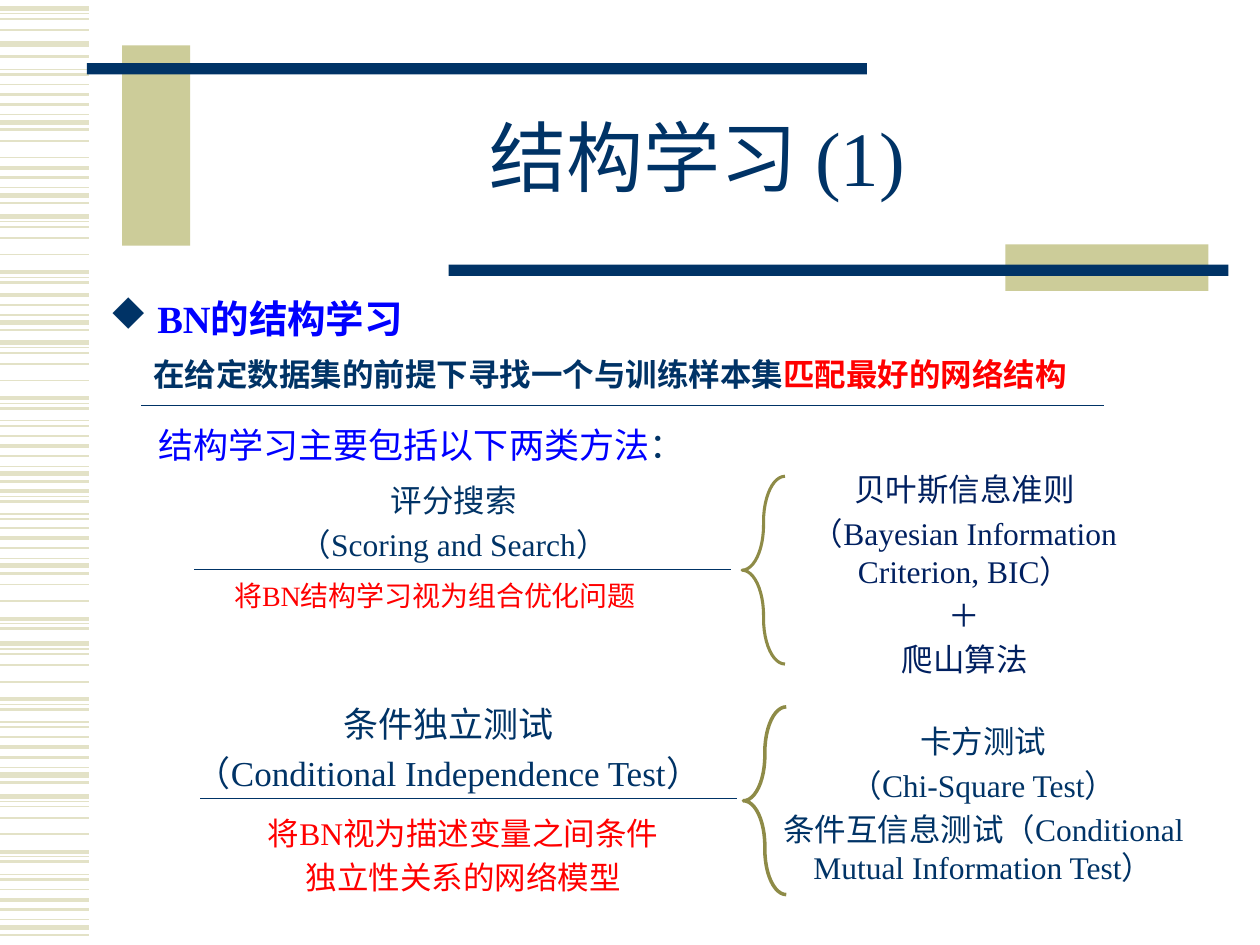
from lxml.etree import SubElement
from pptx import Presentation
from pptx.dml.color import RGBColor
from pptx.enum.shapes import MSO_CONNECTOR as Connector, MSO_SHAPE as Preset
from pptx.enum.text import MSO_ANCHOR as Anchor, PP_ALIGN as Align
from pptx.oxml.ns import qn
from pptx.util import Emu, Pt

SCALE = 9144
NAVY, DEEP, BLUE, RED = "003366", "002060", "0000FF", "FF0000"
KHAKI, PALE, OLIVE = "CCCC99", "E3E2C7", "8E8B47"

SHORT_BAND = [(0, 1), (8, 2.25), (16, 1.5), (24, 0.75), (30, 3), (36, 1.5)]
LONG_BAND = [(0, 3), (4, 0.75), (8, 1), (17, 1), (30, 1), (44, 2.25),
             (48, 0.75), (52, 1.5), (62, 0.75), (66, 1.5)]
SHORT_PARTS = [(67, 0, 6), (125, 0, 6), (226, 1, 6), (346, 0, 6),
               (419, 0, 6), (585, 0, 6), (706, 0, 6)]
LONG_PARTS = [(7, 0, 4), (35, 0, 1), (-7, 7, 10), (82, 4, 5), (172, 0, 8),
              (272, 0, 10), (346, 5, 10), (447, 3, 8), (511, 0, 10), (632, 0, 10)]

METHODS = [
    {
        "box": (130, 377, 776, 180),
        "name": ["评分搜索", "（Scoring and Search）"],
        "name_at": (0, 0, 460, 77), "name_size": 18,
        "rule_at": (24, 75),
        "note": ["将BN结构学习视为组合优化问题"],
        "note_at": (46, 77, 401, 37), "note_size": 16, "note_align": Align.LEFT,
        "brace_at": (459, 1, 34, 149), "brace_weight": 1.75,
        "detail": ["贝叶斯信息准则", "（Bayesian Information Criterion, BIC）", "＋", "爬山算法"],
        "detail_at": (495, -9, 281, 180), "detail_color": DEEP,
    },
    {
        "box": (126, 553, 836, 165),
        "name": ["条件独立测试", "（Conditional Independence Test）"],
        "name_at": (0, 0, 460, 84), "name_size": 20,
        "rule_at": (33, 81),
        "note": ["将BN视为描述变量之间条件", "独立性关系的网络模型"],
        "note_at": (36, 88, 411, 77), "note_size": 18, "note_align": Align.CENTER,
        "brace_at": (464, 8, 34, 149), "brace_weight": 2,
        "detail": ["卡方测试", "（Chi-Square Test）",
                   "条件互信息测试（Conditional Mutual Information Test）"],
        "detail_at": (473, 15, 363, 143), "detail_color": NAVY,
    },
]


def px(*lengths):
    """Turn px lengths into EMU."""
    return [Emu(length * SCALE) for length in lengths]


def color(value):
    """Turn a hex string into a colour."""
    return RGBColor.from_string(value)


def inside(box, place):
    """Shift a place by the origin of its box."""
    return (box[0] + place[0], box[1] + place[1], *place[2:])


def add_rule(slide, left, top, width, line_color, weight):
    """Draw a horizontal line."""
    rule = slide.shapes.add_connector(Connector.STRAIGHT, *px(left, top, left + width, top))
    rule.line.color.rgb = color(line_color)
    rule.line.width = Pt(weight)
    SubElement(rule._element.spPr, qn("a:effectLst"))


def add_bar(slide, place, fill):
    """Draw a filled rectangle without an outline."""
    bar = slide.shapes.add_shape(Preset.RECTANGLE, *px(*place))
    bar.shadow.inherit = False
    bar.fill.solid()
    bar.fill.fore_color.rgb = color(fill)
    bar.line.fill.background()


def add_brace(slide, place, weight):
    """Draw a curly brace that opens to the right."""
    brace = slide.shapes.add_shape(Preset.RIGHT_BRACE, *px(*place))
    brace.rotation = 180
    brace.adjustments[0] = 1.054
    brace.shadow.inherit = False
    brace.fill.background()
    brace.line.color.rgb = color(OLIVE)
    brace.line.width = Pt(weight)


def add_text(slide, place, paragraphs, size, align=Align.LEFT, bold=False,
             wrap=True, anchor=Anchor.TOP, line_spacing=None, space_before=20):
    """Write paragraphs, each a list of (text, colour) runs, in a text box."""
    frame = slide.shapes.add_textbox(*px(*place)).text_frame
    frame.word_wrap, frame.vertical_anchor = wrap, anchor
    for index, runs in enumerate(paragraphs):
        paragraph = frame.paragraphs[0] if index == 0 else frame.add_paragraph()
        for name, value in {"alignment": align, "line_spacing": line_spacing}.items():
            setattr(paragraph, name, value)
        if space_before:
            before = SubElement(paragraph._p.get_or_add_pPr(), qn("a:spcBef"))
            SubElement(before, qn("a:spcPct"), val=str(space_before * 1000))
        for text, text_color in runs:
            run = paragraph.add_run()
            run.text = text
            formats = {"name": "Times New Roman", "size": Pt(size), "bold": bold}
            for name, value in formats.items():
                setattr(run.font, name, value)
            run.font.color.rgb = color(text_color)
    return frame


def add_diamond_bullet(paragraph, bullet_color, indent):
    """Give a paragraph a Wingdings diamond bullet and a hanging indent."""
    properties = paragraph._p.get_or_add_pPr()
    properties.set("marL", str(indent * SCALE))
    properties.set("indent", str(-indent * SCALE))
    SubElement(SubElement(properties, qn("a:buClr")), qn("a:srgbClr"), val=bullet_color)
    SubElement(properties, qn("a:buFont"), typeface="Wingdings", pitchFamily="2", charset="2")
    SubElement(properties, qn("a:buChar"), char="u")


def build_stripes(slide, box):
    """Fill the left margin with repeated bands of stripes."""
    left, top, width, _ = box
    for band, parts in ((SHORT_BAND, SHORT_PARTS), (LONG_BAND, LONG_PARTS)):
        for base, first, last in parts:
            for offset, weight in band[first:last]:
                add_rule(slide, left, top + base + offset, width, PALE, weight)


def build_title(slide, box):
    """Place the title between its bars and accent blocks."""
    for place, fill in (((28, 0, 54, 159), KHAKI), ((0, 14, 619, 9), NAVY),
                        ((729, 158, 161, 37), KHAKI), ((287, 174, 619, 9), NAVY)):
        add_bar(slide, inside(box, place), fill)
    add_text(slide, inside(box, (81, 31, 807, 125)), [[("结构学习 (1)", NAVY)]], 44,
             Align.CENTER, anchor=Anchor.MIDDLE, line_spacing=0.85, space_before=0)


def build_introduction(slide, box):
    """Place the bulleted heading, the definition and the lead-in."""
    heading = add_text(slide, inside(box, (0, 0, 898, 47)), [[("BN的结构学习", BLUE)]],
                       22, bold=True, line_spacing=Pt(26))
    add_diamond_bullet(heading.paragraphs[0], NAVY, 38)
    add_text(slide, inside(box, (35, 47, 786, 40)),
             [[("在给定数据集的前提下寻找一个与训练样本集", NAVY), ("匹配最好的网络结构", RED)]],
             18, bold=True)
    add_rule(slide, *inside(box, (35, 92, 764)), NAVY, 0.75)
    add_text(slide, inside(box, (39, 101, 444, 44)),
             [[("结构学习主要包括以下两类方法", BLUE), ("：", NAVY)]], 20, wrap=False)


def build_method(slide, box, method):
    """Place one method with its note, brace and details."""
    blocks = (
        ("name", NAVY, method["name_size"], Align.CENTER),
        ("note", RED, method["note_size"], method["note_align"]),
        ("detail", method["detail_color"], 18, Align.CENTER),
    )
    for part, text_color, size, align in blocks:
        paragraphs = [[(text, text_color)] for text in method[part]]
        add_text(slide, inside(box, method[part + "_at"]), paragraphs, size, align)
    add_rule(slide, *inside(box, method["rule_at"]), 426, NAVY, 0.75)
    add_brace(slide, inside(box, method["brace_at"]), method["brace_weight"])


def main():
    """Build the slide and save it."""
    presentation = Presentation()
    presentation.slide_width, presentation.slide_height = px(1000, 750)
    slide = presentation.slides.add_slide(presentation.slide_layouts[6])
    build_stripes(slide, (0, 0, 71, 750))
    build_title(slide, (69, 36, 906, 195))
    build_introduction(slide, (77, 230, 898, 145))
    for method in METHODS:
        build_method(slide, method["box"], method)
    presentation.save("out.pptx")


if __name__ == "__main__":
    main()
